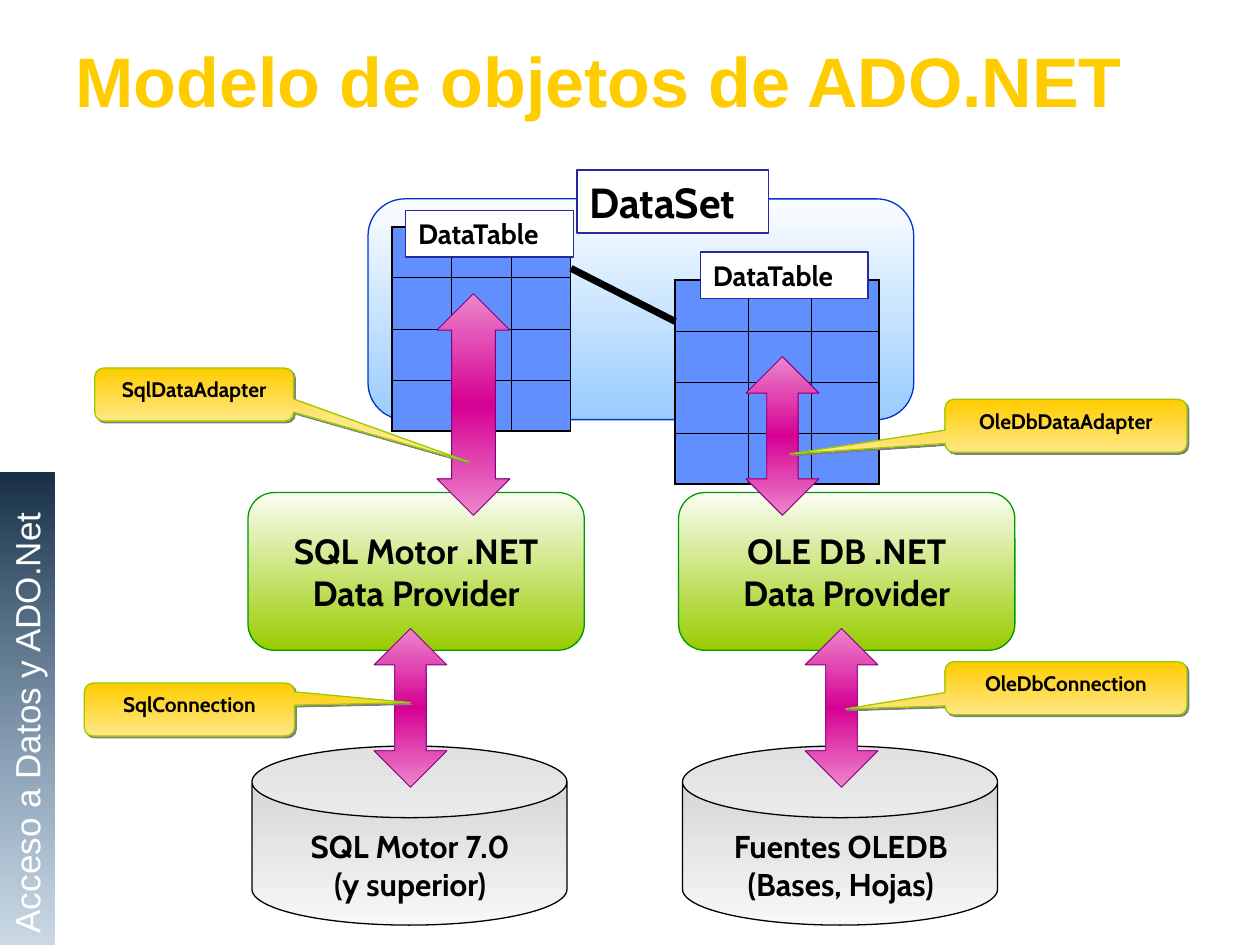
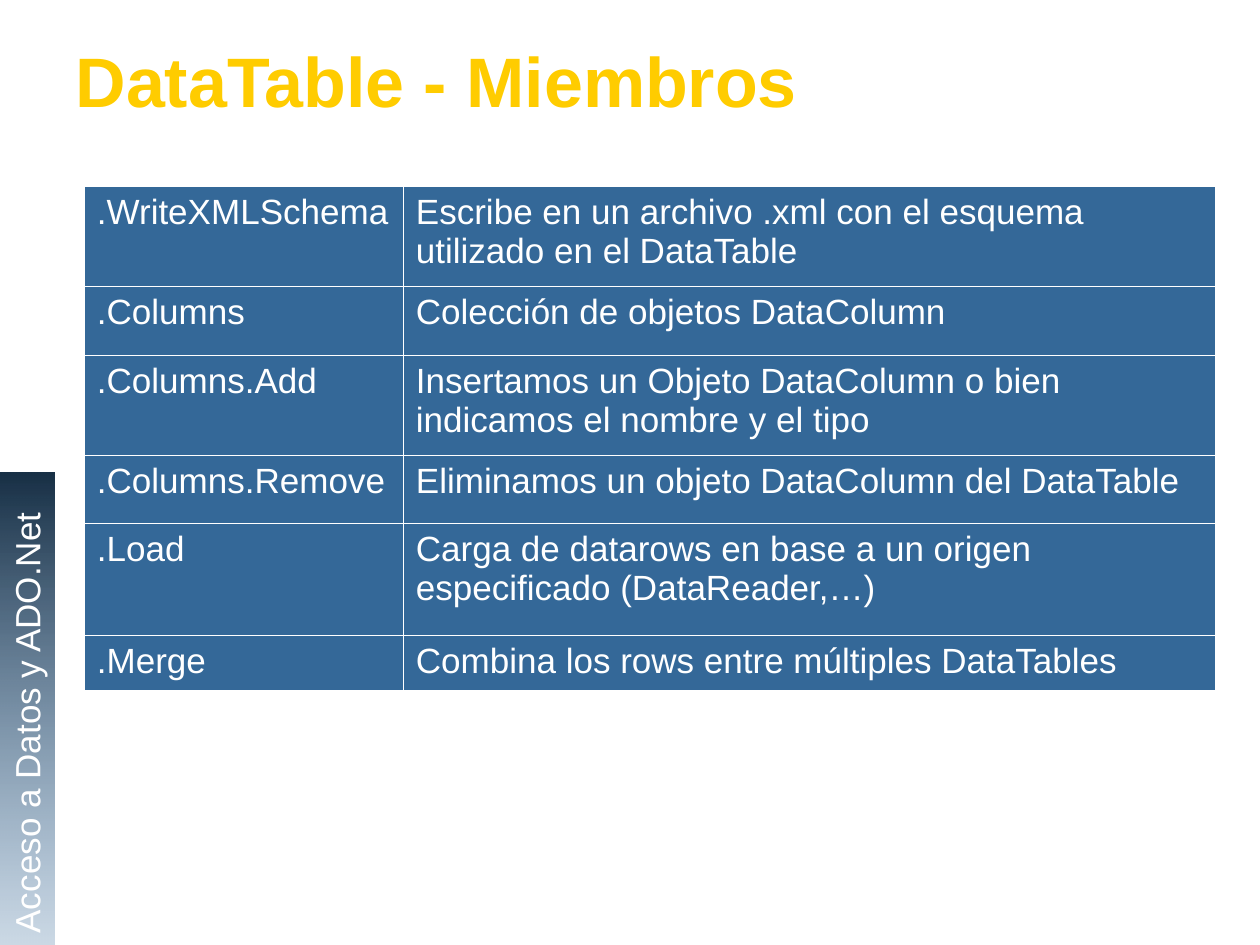
from lxml import etree
from pptx import Presentation
from pptx.dml.color import RGBColor
from pptx.enum.shapes import MSO_CONNECTOR, MSO_SHAPE
from pptx.enum.text import MSO_ANCHOR, MSO_AUTO_SIZE, PP_ALIGN
from pptx.oxml.ns import qn
from pptx.util import Cm, Pt

RECT, ROUND = MSO_SHAPE.RECTANGLE, MSO_SHAPE.ROUNDED_RECTANGLE
CAN, ARROW = MSO_SHAPE.CAN, MSO_SHAPE.UP_DOWN_ARROW
CALLOUT = MSO_SHAPE.ROUNDED_RECTANGULAR_CALLOUT
STRAIGHT = MSO_CONNECTOR.STRAIGHT
LEFT, CENTER = PP_ALIGN.LEFT, PP_ALIGN.CENTER
TOP, MIDDLE = MSO_ANCHOR.TOP, MSO_ANCHOR.MIDDLE

BLACK, WHITE, GOLD, NAVY = "000000", "FFFFFF", "FFCC00", "346898"
CELL, EDGE = "618FFD", "2828A0"
PINK = ["EC86CC", "D60093", "EC86CC"]
rgb = RGBColor.from_string


def draw(slide, kind, box, fills, line=None, width=0.75, adj=()):
    """Add a preset shape; several fills make a gradient from top to bottom."""
    shape = slide.shapes.add_shape(kind, *map(Cm, box))
    shape.shadow.inherit = False
    for i, value in enumerate(adj):
        shape.adjustments[i] = value
    if len(fills) == 1:
        shape.fill.solid()
        shape.fill.fore_color.rgb = rgb(fills[0])
    else:
        shape.fill.gradient()
        shape.fill.gradient_angle = 270
        grad = shape._element.spPr.find(qn("a:gradFill"))
        grad.set("rotWithShape", "0")
        stops = grad.find(qn("a:gsLst"))
        stops.clear()
        for i, fill in enumerate(fills):
            pos = 100000 * i // (len(fills) - 1)
            stop = etree.SubElement(stops, qn("a:gs"), pos=str(pos))
            etree.SubElement(stop, qn("a:srgbClr"), val=fill)
    if line:
        shape.line.color.rgb = rgb(line)
        shape.line.width = Pt(width)
    else:
        shape.line.fill.background()
    return shape


def write(frame, text, size, color=BLACK, face="Cabin", bold=True,
          align=CENTER, anchor=TOP):
    frame.text = text
    frame.word_wrap = True
    frame.vertical_anchor = anchor
    for para in frame.paragraphs:
        para.alignment = align
        para.font.size = Pt(size)
        para.font.name = face
        para.font.bold = bold
        para.font.color.rgb = rgb(color)


deck = Presentation()
deck.slide_width, deck.slide_height = Cm(25.4), Cm(19.05)

# Title and side band of every slide
slides = []
for head in ["Modelo de objetos de ADO.NET", "DataTable - Miembros"]:
    slide = deck.slides.add_slide(deck.slide_layouts[5])
    title = slide.shapes.title
    title.left, title.top = Cm(1.27), Cm(0.53)
    title.width, title.height = Cm(23.83), Cm(2.16)
    write(title.text_frame, head, 40, GOLD, "Arial", True, LEFT, MIDDLE)
    title.text_frame.auto_size = MSO_AUTO_SIZE.NONE
    props = title.text_frame.paragraphs[0].runs[0]._r.get_or_add_rPr()
    glow = etree.SubElement(props, qn("a:effectLst"))
    shade = etree.SubElement(glow, qn("a:outerShdw"), dist="25400", dir="2700000")
    etree.SubElement(shade, qn("a:srgbClr"), val=BLACK)

    band = draw(slide, RECT, (-4.22, 13.74, 9.53, 1.12), ["183046", NAVY])
    band.rotation = 270
    last = list(band._element.spPr.iter(qn("a:srgbClr")))[-1]
    etree.SubElement(last, qn("a:alpha"), val="25000")
    write(band.text_frame, "Acceso a Datos y ADO.Net", 20, WHITE, "Arial",
          False, LEFT)
    slides.append(slide)
model, members = slides

# Slide 1: the DataSet and its tables
draw(model, ROUND, (7.42, 4.01, 11, 4.45), ["FBFDFF", "99CCFF"], "0033CC")
tag = draw(model, RECT, (11.63, 3.43, 3.86, 1.27), [WHITE], EDGE)
write(tag.text_frame, "DataSet", 24, align=LEFT)

grids = []
for x, y, cols in [(13.61, 5.64, [1.47, 1.27, 1.37]), (7.9, 4.57, [1.2] * 3)]:
    frame = model.shapes.add_table(4, 3, Cm(x), Cm(y), Cm(sum(cols)), Cm(2.72))
    grids.append((frame.table, cols, [0.68] * 4, CELL, BLACK, 1.08))

link = model.shapes.add_connector(STRAIGHT, Cm(11.51), Cm(5.41), Cm(13.61), Cm(6.48))
link.line.color.rgb = rgb(BLACK)
link.line.width = Pt(4)
etree.SubElement(link._element.spPr, qn("a:effectLst"))

# One column per provider: box above, data source below
columns = [
    ("SQL Motor .NET\nData Provider", "SQL Motor 7.0\n(y superior)"),
    ("OLE DB .NET\nData Provider", "Fuentes OLEDB\v(Bases, Hojas)"),
]
for i, (name, source) in enumerate(columns):
    shift = 8.68 * i
    draw(model, CAN, (5.08 + shift, 15.04, 6.35, 3.61), ["CECECE", "F7F7F7"],
         BLACK, adj=[0.4])
    box = draw(model, ROUND, (5 + shift, 9.93, 6.78, 3.18), ["FBFDF4", "99CC00"],
               "009900")
    write(box.text_frame, name, 20, anchor=MIDDLE)
    label = model.shapes.add_textbox(Cm(4.88 + shift), Cm(16.54), Cm(6.78), Cm(1.78))
    write(label.text_frame, source, 18, anchor=MIDDLE)

for x, y, high, tip in [(8.81, 5.92, 4.47, 0.6), (7.54, 12.67, 3.2, 0.43),
                        (16.23, 12.67, 3.2, 0.43), (15.04, 7.19, 3.2, 0.43)]:
    draw(model, ARROW, (x, y, 1.47, high), PINK, "800080", 0.5, [0.5, tip])

notes = [
    ("OleDbConnection", 19.05, 13.34, 4.88, -0.91, 0.39),
    ("OleDbDataAdapter", 19.05, 8.05, 4.88, -1.14, 0.53),
    ("SqlDataAdapter", 1.91, 7.42, 4.01, 1.38, 1.27),
    ("SqlConnection", 1.7, 13.77, 4.24, 1.05, -0.13),
]
for name, x, y, wide, tipx, tipy in notes:
    note = draw(model, CALLOUT, (x, y, wide, 1.07), [GOLD, "FFE786"], "99CC00",
                adj=[tipx, tipy, 0.17])
    write(note.text_frame, name, 12)
    glow = note._element.spPr.find(qn("a:effectLst"))
    shade = etree.SubElement(glow, qn("a:outerShdw"), dist=str(Pt(1.4)),
                             dir="2700000")
    etree.SubElement(shade, qn("a:srgbClr"), val="808080")

for x, y in [(14.12, 5.08), (8.18, 4.24)]:
    tag = draw(model, RECT, (x, y, 3.38, 0.94), [WHITE], EDGE)
    write(tag.text_frame, "DataTable", 16, align=LEFT)

# Slide 2: members of DataTable
rows = [
    (".WriteXMLSchema",
     "Escribe en un archivo .xml con el esquema utilizado en el DataTable"),
    (".Columns", "Colección de objetos DataColumn"),
    (".Columns.Add",
     "Insertamos un Objeto DataColumn o bien indicamos el nombre y el tipo"),
    (".Columns.Remove", "Eliminamos un objeto DataColumn del DataTable"),
    (".Load", "Carga de datarows en base a un origen especificado (DataReader,…)"),
    (".Merge", "Combina los rows entre múltiples DataTables"),
]
wides, highs = [6.43, 16.36], [2.01, 1.4, 2.01, 1.37, 2.26, 1.12]
frame = members.shapes.add_table(len(rows), 2, Cm(1.7), Cm(3.76),
                                 Cm(sum(wides)), Cm(sum(highs)))
for r, row in enumerate(rows):
    for c, text in enumerate(row):
        write(frame.table.cell(r, c).text_frame, text, 20, WHITE, "Arial",
              False, LEFT)
grids.append((frame.table, wides, highs, NAVY, WHITE, 0.45))

# Sizes, fills and borders of all tables
for table, wides, highs, fill, edge, rim in grids:
    table.first_row = table.horz_banding = False
    for col, wide in zip(table.columns, wides):
        col.width = Cm(wide)
    for row, high in zip(table.rows, highs):
        row.height = Cm(high)
    for r in range(len(highs)):
        for c in range(len(wides)):
            cell = table.cell(r, c)
            cell.fill.solid()
            cell.fill.fore_color.rgb = rgb(fill)
            sides = [("L", c == 0), ("R", c == len(wides) - 1),
                     ("T", r == 0), ("B", r == len(highs) - 1)]
            props = cell._tc.get_or_add_tcPr()
            for i, (side, outer) in enumerate(sides):
                line = etree.Element(qn("a:ln" + side),
                                     w=str(Pt(rim if outer else 0.45)))
                solid = etree.SubElement(line, qn("a:solidFill"))
                etree.SubElement(solid, qn("a:srgbClr"), val=edge)
                props.insert(i, line)

deck.save("out.pptx")
